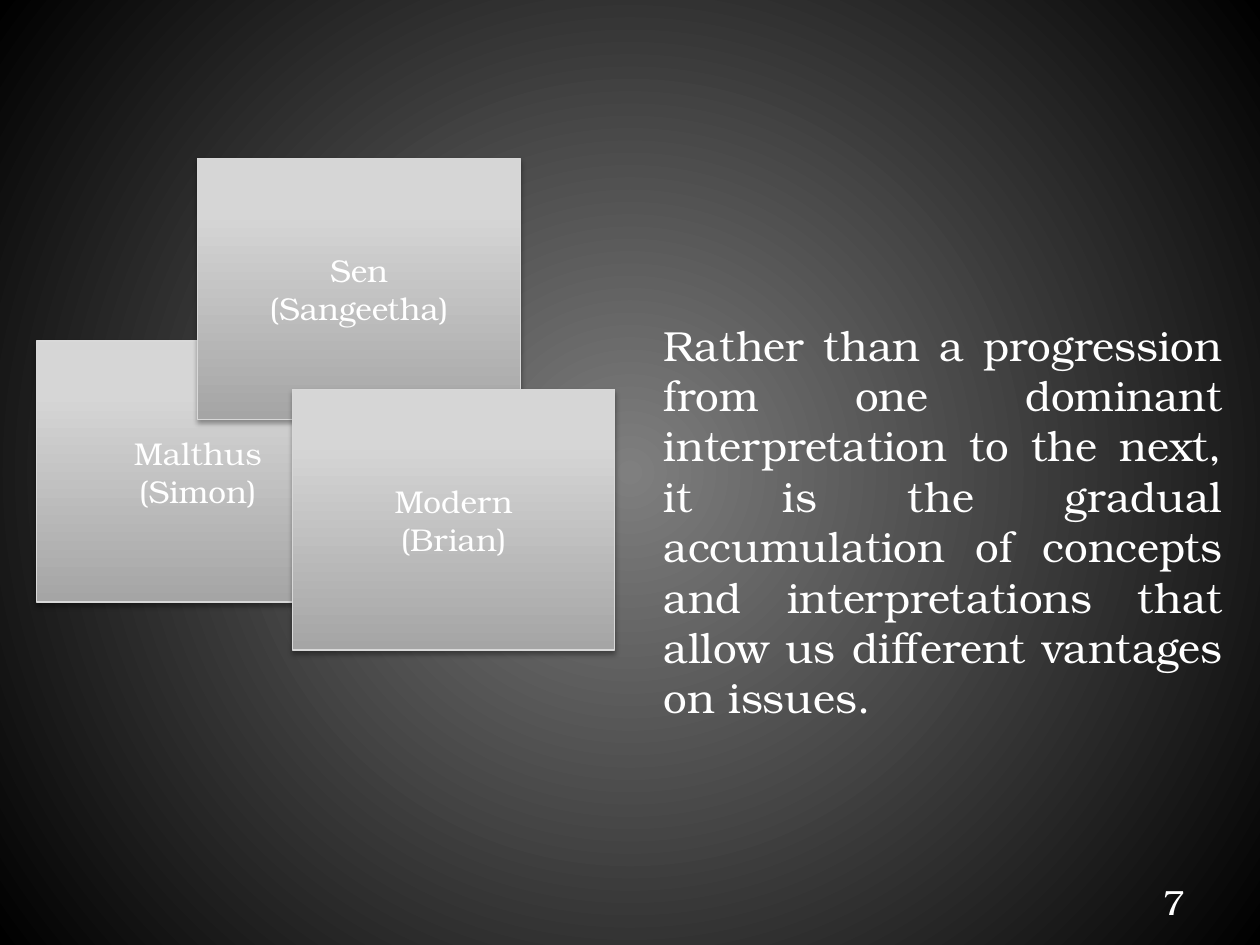
from pptx import Presentation
from pptx import util as u
from pptx.dml.color import RGBColor
from pptx.enum import shapes, text
from pptx.oxml import parse_xml
from pptx.oxml.ns import nsdecls, qn

WHITE = RGBColor(0xFF, 0xFF, 0xFF)
BLACK = RGBColor(0x00, 0x00, 0x00)
MID_GREY = RGBColor(0x7F, 0x7F, 0x7F)
CARD_EDGE = RGBColor(0xD8, 0xD8, 0xD8)
CARD_STOPS = [(0, RGBColor(0xA5, 0xA5, 0xA5)),
              (80, RGBColor(0xD6, 0xD6, 0xD6)),
              (100, RGBColor(0xD7, 0xD7, 0xD7))]
BACKDROP_STOPS = [(0, MID_GREY), (100, BLACK)]

UPWARD = '<a:lin ang="16200000" scaled="0"/>'
FROM_CENTRE = ('<a:path path="circle"><a:fillToRect l="50000" t="50000" '
               'r="50000" b="50000"/></a:path>')
SOFT_SHADOW = (f'<a:effectLst {nsdecls("a")}><a:outerShdw blurRad="{u.Pt(3.1)}" '
               f'dist="{u.Pt(1.8)}" dir="5400000" rotWithShape="0">'
               f'<a:srgbClr val="{BLACK}"><a:alpha val="35000"/></a:srgbClr>'
               '</a:outerShdw></a:effectLst>')


class Deck:
    font = "TeX Gyre Bonum"
    width, height = u.Inches(10), u.Inches(7.5)
    card_size = (25.6, 27.6)

    def __init__(self):
        self.prs = Presentation()
        self.prs.slide_width, self.prs.slide_height = self.width, self.height
        self.slide = self.prs.slides.add_slide(self.prs.slide_layouts[6])

    def box(self, left, top, width, height):
        """Turn percentages of the slide's size into lengths."""
        return (int(left * self.width / 100), int(top * self.height / 100),
                int(width * self.width / 100), int(height * self.height / 100))

    def gradient(self, fill, owner, stops, direction):
        fill.gradient()
        grad = owner.find(".//" + qn("a:gradFill"))
        marks = "".join(f'<a:gs pos="{pos * 1000}"><a:srgbClr val="{color}"/></a:gs>'
                        for pos, color in stops)
        grad.getparent().replace(grad, parse_xml(
            f'<a:gradFill {nsdecls("a")} rotWithShape="1">'
            f'<a:gsLst>{marks}</a:gsLst>{direction}</a:gradFill>'))

    def backdrop(self):
        self.gradient(self.slide.background.fill, self.slide.element,
                      BACKDROP_STOPS, FROM_CENTRE)

    def set_text(self, shape, lines, size, align, anchor):
        frame = shape.text_frame
        frame.word_wrap = True
        frame.vertical_anchor = anchor
        for i, line in enumerate(lines):
            para = frame.paragraphs[0] if i == 0 else frame.add_paragraph()
            para.alignment = align
            run = para.add_run()
            run.text = line
            run.font.name, run.font.size = self.font, u.Pt(size)
            run.font.color.rgb = WHITE
        return frame

    def card(self, left, top, *lines):
        card = self.slide.shapes.add_shape(
            shapes.MSO_SHAPE.RECTANGLE, *self.box(left, top, *self.card_size))
        self.gradient(card.fill, card.element.spPr, CARD_STOPS, UPWARD)
        card.line.color.rgb, card.line.width = CARD_EDGE, u.Pt(0.75)
        card.element.spPr.append(parse_xml(SOFT_SHADOW))
        self.set_text(card, lines, 18, text.PP_ALIGN.CENTER, text.MSO_ANCHOR.MIDDLE)

    def label(self, area, words, size, align, anchor=text.MSO_ANCHOR.TOP):
        label = self.slide.shapes.add_textbox(*self.box(*area))
        return self.set_text(label, [words], size, align, anchor)


def main():
    deck = Deck()
    deck.backdrop()

    # Overlapping cards, back to front
    for card in [(2.9, 36.1, "Malthus", "(Simon)"),
                 (15.7, 16.8, "Sen", "(Sangeetha)"),
                 (23.2, 41.2, "Modern", "(Brian)")]:
        deck.card(*card)

    # Closing statement
    statement = deck.label(
        (51.7, 33.1, 46.3, 39.1),
        "Rather than a progression from one dominant interpretation to the next, "
        "it is the gradual accumulation of concepts and interpretations that "
        "allow us different vantages on issues.",
        24, text.PP_ALIGN.JUSTIFY)
    statement.auto_size = text.MSO_AUTO_SIZE.SHAPE_TO_FIT_TEXT

    # Slide number
    deck.label((71.7, 92.7, 23.3, 5.3), "7", 20,
               text.PP_ALIGN.RIGHT, text.MSO_ANCHOR.MIDDLE)

    deck.prs.save("out.pptx")


if __name__ == "__main__":
    main()
